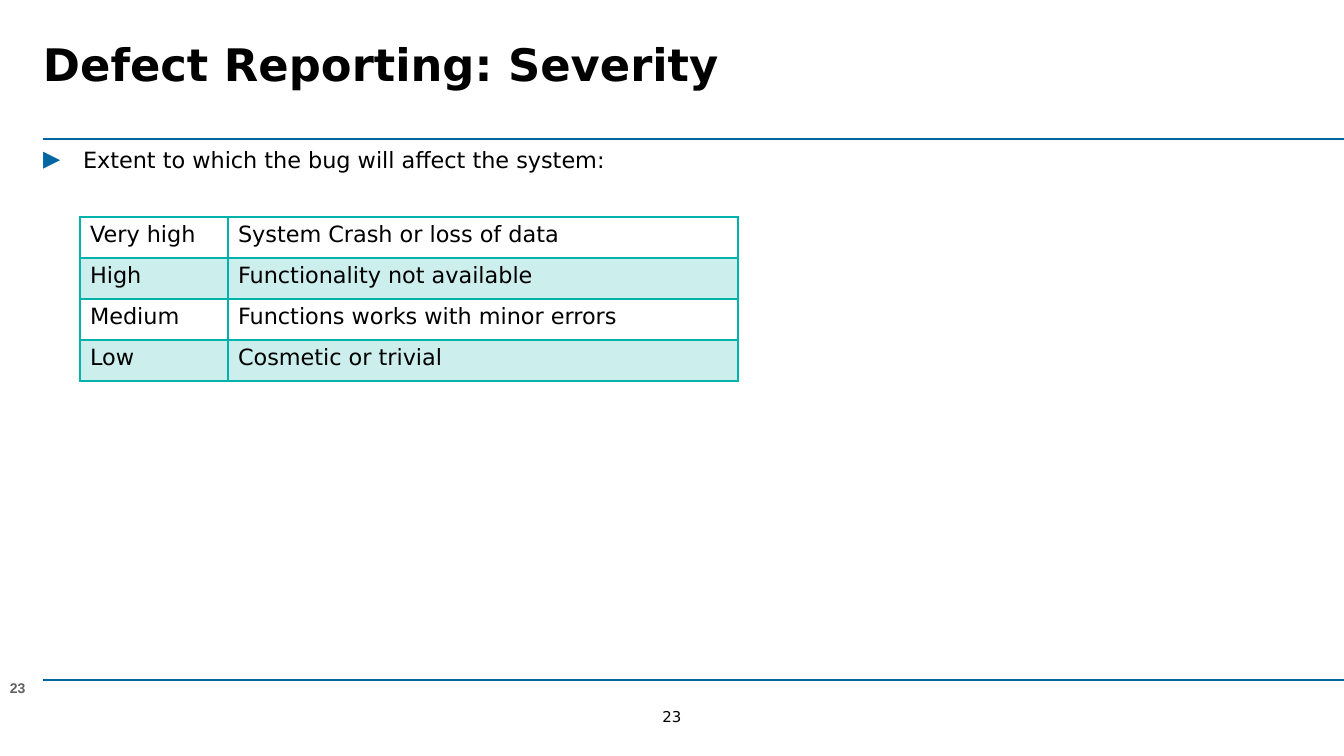
import dataclasses

import lxml.etree
import pptx
import pptx.dml.color
import pptx.enum.shapes
import pptx.enum.text
import pptx.oxml
import pptx.oxml.ns
import pptx.util

ANCHOR = pptx.enum.text.MSO_ANCHOR
ALIGN = pptx.enum.text.PP_ALIGN
qn = pptx.oxml.ns.qn


@dataclasses.dataclass(frozen=True)
class Theme:
    font: str = "DejaVu Sans"
    number_font: str = "Arial"
    text: str = "000000"
    muted: str = "5F5F5F"
    rule: str = "0066A1"
    table: str = "00B2A9"
    band_opacity: int = 20
    title_size: float = 32
    body_size: float = 16
    page_size: float = 10.7
    number_size: float = 10
    rule_width: float = 1.25


def px(length):
    """Turn px, at 100.8 to the inch, into EMU."""
    return pptx.util.Emu(round(length * 914400 / 100.8))


def rgb(color):
    return pptx.dml.color.RGBColor.from_string(color)


def write(frame, text, *, size, color, font, bold=False, align=ALIGN.LEFT):
    paragraph = frame.paragraphs[0]
    paragraph.alignment = align
    run = paragraph.add_run()
    run.text = text
    run.font.size = pptx.util.Pt(size)
    run.font.name = font
    run.font.bold = bold
    run.font.color.rgb = rgb(color)
    return paragraph


class SlideBuilder:
    def __init__(self, slide, theme):
        self.slide = slide
        self.theme = theme

    def text(self, box, text, *, insets=(0, 0, 0, 0), anchor=ANCHOR.TOP, wrap=True, **style):
        shape = self.slide.shapes.add_textbox(*map(px, box))
        frame = shape.text_frame
        frame.word_wrap = wrap
        frame.vertical_anchor = anchor
        (frame.margin_left, frame.margin_top,
         frame.margin_right, frame.margin_bottom) = map(px, insets)
        defaults = {"font": self.theme.font, "color": self.theme.text}
        return write(frame, text, **{**defaults, **style})

    def bullet(self, box, text, *, indent, symbol):
        paragraph = self.text(box, text, size=self.theme.body_size)
        paragraph.space_after = pptx.util.Pt(4)
        properties = paragraph._p.get_or_add_pPr()
        properties.set("marL", str(px(indent)))
        properties.set("indent", str(-px(indent)))
        color = lxml.etree.SubElement(properties, qn("a:buClr"))
        lxml.etree.SubElement(color, qn("a:srgbClr"), val=self.theme.rule)
        lxml.etree.SubElement(properties, qn("a:buFont"), typeface=self.theme.font)
        lxml.etree.SubElement(properties, qn("a:buChar"), char=symbol)

    def rule(self, left, right, y):
        line = self.slide.shapes.add_connector(
            pptx.enum.shapes.MSO_CONNECTOR.STRAIGHT, px(left), px(y), px(right), px(y))
        line.line.color.rgb = rgb(self.theme.rule)
        line.line.width = pptx.util.Pt(self.theme.rule_width)
        lxml.etree.SubElement(line._element.spPr, qn("a:effectLst"))

    def table(self, left, top, widths, row_height, rows):
        """Draw a bordered table with every second row tinted and a heavier line under the first."""
        frame = self.slide.shapes.add_table(
            len(rows), len(widths), px(left), px(top), px(sum(widths)), px(row_height * len(rows)))
        table = frame.table
        table.first_row = table.horz_banding = False
        for column, width in zip(table.columns, widths):
            column.width = px(width)
        for row_index, texts in enumerate(rows):
            table.rows[row_index].height = px(row_height)
            for column_index, text in enumerate(texts):
                cell = table.cell(row_index, column_index)
                write(cell.text_frame, text, size=self.theme.body_size,
                      color=self.theme.text, font=self.theme.font)
                self.fill_cell(cell, tinted=row_index % 2 == 1)
                self.border_cell(cell, top=2 if row_index == 1 else 1,
                                 bottom=2 if row_index == 0 else 1)

    def fill_cell(self, cell, tinted):
        if not tinted:
            cell.fill.background()
            return
        cell.fill.solid()
        cell.fill.fore_color.rgb = rgb(self.theme.table)
        color = cell._tc.tcPr.find(".//" + qn("a:srgbClr"))
        lxml.etree.SubElement(color, qn("a:alpha"), val=str(self.theme.band_opacity * 1000))

    def border_cell(self, cell, top, bottom):
        sides = {"a:lnL": 1, "a:lnR": 1, "a:lnT": top, "a:lnB": bottom}
        for position, (side, width) in enumerate(sides.items()):
            line = pptx.oxml.parse_xml(
                f'<{side} {pptx.oxml.ns.nsdecls("a")} w="{pptx.util.Pt(width)}"><a:solidFill>'
                f'<a:srgbClr val="{self.theme.table}"/></a:solidFill></{side}>')
            cell._tc.tcPr.insert(position, line)


def main():
    presentation = pptx.Presentation()
    presentation.slide_width, presentation.slide_height = px(1344), px(756)
    theme = Theme()
    slide = presentation.slides.add_slide(presentation.slide_layouts[6])
    builder = SlideBuilder(slide, theme)

    builder.text((659, 708, 26, 18), "23", size=theme.page_size, anchor=ANCHOR.MIDDLE,
                 wrap=False, align=ALIGN.CENTER)
    for y in (139, 680):
        builder.rule(43, 1344, y)
    builder.text((43, 32, 1275, 84), "Defect Reporting: Severity", insets=(0, 5, 0, 5),
                 size=theme.title_size, bold=True)
    builder.bullet((43, 146, 899, 471), "Extent to which the bug will affect the system:",
                   indent=40, symbol="▶")
    builder.text((0, 674, 110, 29), "23", insets=(10, 5, 10, 5), size=theme.number_size,
                 font=theme.number_font, color=theme.muted, bold=True)
    builder.table(80, 217, (148, 510), 41, (
        ("Very high", "System Crash or loss of data"),
        ("High", "Functionality not available"),
        ("Medium", "Functions works with minor errors"),
        ("Low", "Cosmetic or trivial"),
    ))
    presentation.save("out.pptx")


if __name__ == "__main__":
    main()
